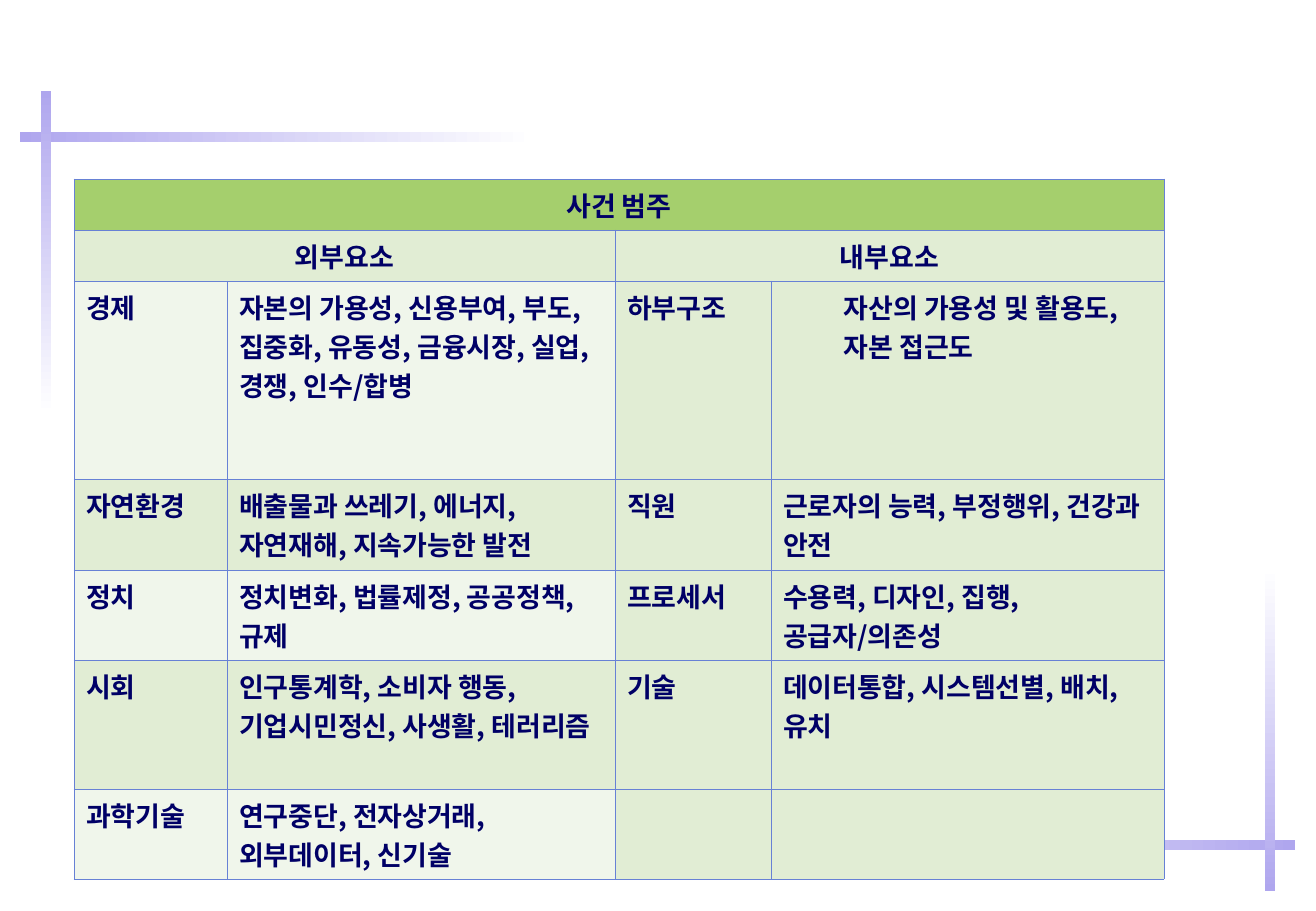
from lxml.etree import SubElement
from pptx import Presentation
from pptx.dml.color import RGBColor
from pptx.enum.shapes import MSO_SHAPE
from pptx.enum.text import PP_ALIGN
from pptx.oxml.ns import qn
from pptx.util import Pt

PX = 7532
FONT = "Noto Sans CJK KR"
NAVY, LILAC, WHITE, BORDER = "000066", "AFA6EE", "FFFFFF", "6781D5"
GREEN, LIGHT, PALE = "A5CF6D", "E1EDD4", "F0F6EB"
COLS = [153, 388, 156, 393]
HEIGHTS = [51, 51, 198, 91, 90, 129, 90]
ROWS = [
    ["사건 범주", "", "", ""],
    ["외부요소", "", "내부요소", ""],
    ["경제", "자본의 가용성, 신용부여, 부도, 집중화, 유동성, 금융시장, 실업, 경쟁, 인수/합병",
     "하부구조", "자산의 가용성 및 활용도, 자본 접근도"],
    ["자연환경", "배출물과 쓰레기, 에너지, 자연재해, 지속가능한 발전",
     "직원", "근로자의 능력, 부정행위, 건강과 안전"],
    ["정치", "정치변화, 법률제정, 공공정책, 규제",
     "프로세서", "수용력, 디자인, 집행, 공급자/의존성"],
    ["시회", "인구통계학, 소비자 행동, 기업시민정신, 사생활, 테러리즘",
     "기술", "데이터통합, 시스템선별, 배치, 유치"],
    ["과학기술", "연구중단, 전자상거래, 외부데이터, 신기술", "", ""],
]


def px(n):
    """Turn pixels into EMU."""
    return n * PX


def rgb(color):
    """Turn a hex string into a colour."""
    return RGBColor.from_string(color)


def add_bar(s, x, y, w, start, end, rotation=0):
    """Add a thin bar that fades from one colour to another."""
    sp = s.shapes.add_shape(MSO_SHAPE.RECTANGLE, px(x), px(y), px(w), px(10))
    sp.rotation = rotation
    sp.shadow.inherit = False
    sp.line.fill.background()
    sp.fill.gradient()
    sp.fill.gradient_angle = 0
    for stop, color in zip(sp.fill.gradient_stops, (start, end)):
        stop.color.rgb = rgb(color)


def set_borders(cell):
    """Draw a thin line on all four sides of a cell."""
    tcPr = cell._tc.get_or_add_tcPr()
    for i, side in enumerate(("lnL", "lnR", "lnT", "lnB")):
        ln = tcPr.makeelement(qn(f"a:{side}"), {"w": str(Pt(0.45))})
        tcPr.insert(i, ln)
        fill = SubElement(ln, qn("a:solidFill"))
        SubElement(fill, qn("a:srgbClr"), val=BORDER)


def set_cell(cell, text, color, align):
    """Fill a cell and format its text."""
    cell.fill.solid()
    cell.fill.fore_color.rgb = rgb(color)
    set_borders(cell)
    cell.text_frame.text = text
    p = cell.text_frame.paragraphs[0]
    p.alignment = align
    for r in p.runs:
        r.font.size = Pt(16)
        r.font.bold = True
        r.font.name = FONT
        r.font.color.rgb = rgb(NAVY)
        SubElement(r.font._element, qn("a:ea"), typeface=FONT)


def cell_color(row, col):
    """Choose the fill of a cell by its place in the table."""
    if row == 0:
        return GREEN
    return PALE if row > 1 and row % 2 == 0 and col < 2 else LIGHT


def add_event_table(s):
    """Add the table of event categories."""
    shape = s.shapes.add_table(len(ROWS), len(COLS), px(74), px(179),
                               px(sum(COLS)), px(sum(HEIGHTS)))
    table = shape.table
    table.first_row = table.horz_banding = False
    for column, width in zip(table.columns, COLS):
        column.width = px(width)
    for row, height in zip(table.rows, HEIGHTS):
        row.height = px(height)
    for i, texts in enumerate(ROWS):
        align = PP_ALIGN.CENTER if i < 2 else PP_ALIGN.LEFT
        for j, text in enumerate(texts):
            set_cell(table.cell(i, j), text, cell_color(i, j), align)
    for row, first, last in ((0, 0, 3), (1, 0, 1), (1, 2, 3)):
        table.cell(row, first).merge(table.cell(row, last))
    p = table.cell(2, 3).text_frame.paragraphs[0]
    p.level = 1
    pPr = p._p.get_or_add_pPr()
    pPr.set("marL", "457200")
    pPr.set("indent", "0")


def main():
    """Build the slide and save it."""
    prs = Presentation()
    prs.slide_width, prs.slide_height = px(1316), px(911)
    s = prs.slides.add_slide(prs.slide_layouts[6])
    add_bar(s, 20, 132, 516, LILAC, WHITE)
    add_bar(s, -116, 248, 324, LILAC, WHITE, 90)
    add_bar(s, 779, 840, 516, WHITE, LILAC)
    add_bar(s, 1108, 724, 324, WHITE, LILAC, 90)
    add_event_table(s)
    prs.save("out.pptx")


if __name__ == "__main__":
    main()
